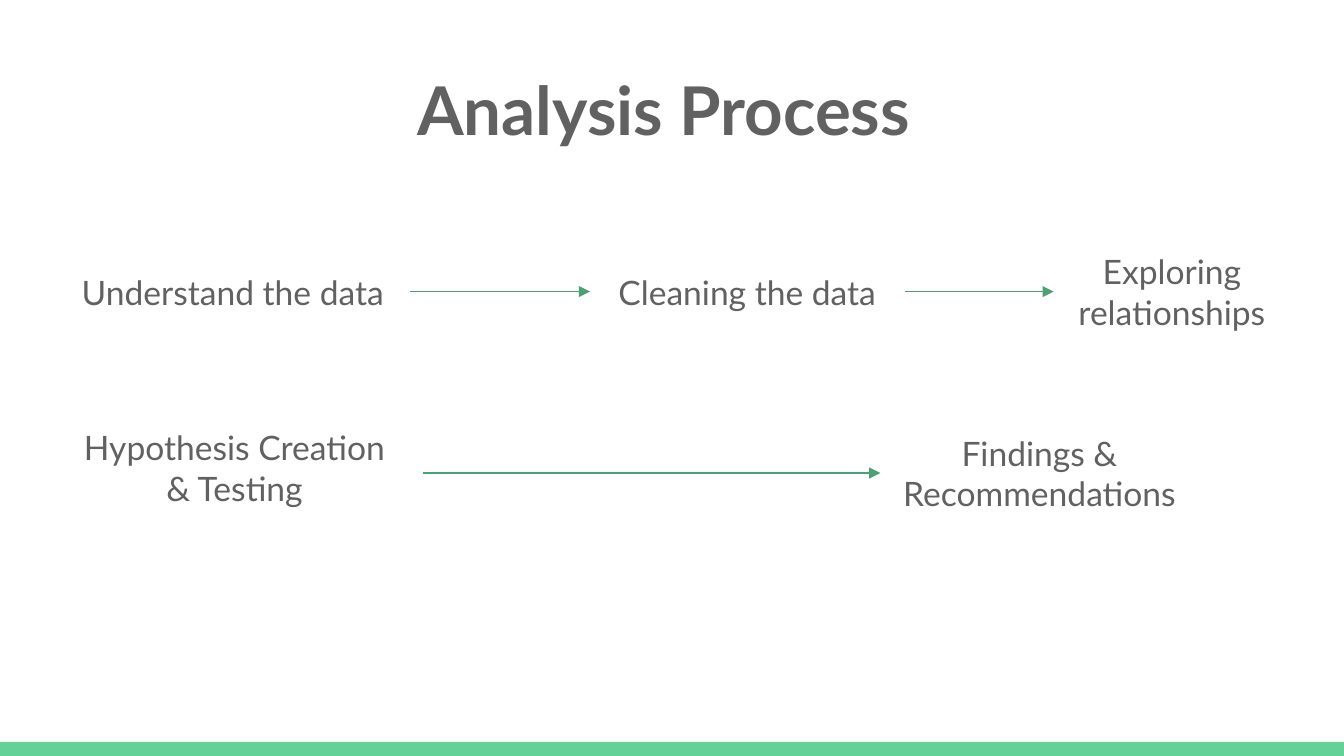
from dataclasses import dataclass

from lxml.etree import SubElement
from pptx import Presentation
from pptx.dml.color import RGBColor
from pptx.enum.shapes import MSO_CONNECTOR, MSO_SHAPE
from pptx.enum.text import MSO_ANCHOR, MSO_AUTO_SIZE, PP_ALIGN
from pptx.oxml.ns import qn
from pptx.slide import Slide
from pptx.text.text import TextFrame
from pptx.util import Inches, Pt

TEXT_GREY = RGBColor(0x61, 0x61, 0x61)
ARROW_GREEN = RGBColor(0x4B, 0xA1, 0x73)
BAR_GREEN = RGBColor(0x63, 0xD2, 0x97)

WIDTH = 10
HEIGHT = WIDTH * 9 / 16
BAR_TOP = 5.52
TOP_ROW_Y, BOTTOM_ROW_Y = 2.17, 3.52

FRAME_FORMAT = {
    "word_wrap": True,
    "auto_size": MSO_AUTO_SIZE.NONE,
    "vertical_anchor": MSO_ANCHOR.MIDDLE,
    "margin_left": Inches(0.1),
    "margin_right": Inches(0.1),
    "margin_top": Inches(0.1),
    "margin_bottom": Inches(0.1),
}


@dataclass(frozen=True)
class Step:
    text: str
    left: float
    top: float
    width: float
    height: float
    align: PP_ALIGN = PP_ALIGN.CENTER


@dataclass(frozen=True)
class Arrow:
    start: float
    end: float
    y: float


STEPS = [
    Step("Understand the data", 0.51, 1.79, 2.54, 0.76, PP_ALIGN.LEFT),
    Step("Cleaning the data", 4.39, 1.85, 2.34, 0.64),
    Step("Exploring relationships", 7.84, 1.74, 1.76, 0.86),
    Step("Hypothesis Creation & Testing", 0.51, 2.98, 2.47, 1),
    Step("Findings & Recommendations", 6.55, 3.07, 2.37, 0.9),
]
ARROWS = [
    Arrow(3.05, 4.39, TOP_ROW_Y),
    Arrow(6.73, 7.84, TOP_ROW_Y),
    Arrow(3.15, 6.55, BOTTOM_ROW_Y),
]


def write_text(tf: TextFrame, text: str, size: int, align: PP_ALIGN, bold: bool = False) -> None:
    for name, value in FRAME_FORMAT.items():
        setattr(tf, name, value)
    p = tf.paragraphs[0]
    p.alignment = align
    r = p.add_run()
    r.text = text
    for name, value in {"name": "Lato", "size": Pt(size), "bold": bold}.items():
        setattr(r.font, name, value)
    r.font.color.rgb = TEXT_GREY


def add_bar(s: Slide) -> None:
    bar = s.shapes.add_shape(MSO_SHAPE.RECTANGLE, 0, Inches(BAR_TOP),
                             Inches(WIDTH), Inches(HEIGHT - BAR_TOP))
    bar.shadow.inherit = False
    bar.fill.solid()
    bar.fill.fore_color.rgb = BAR_GREEN
    bar.line.fill.background()


def add_title(s: Slide, text: str) -> None:
    title = s.shapes.title
    box = {"left": 0.34, "top": 0.49, "width": 9.32, "height": 0.63}
    for name, value in box.items():
        setattr(title, name, Inches(value))
    write_text(title.text_frame, text, 36, PP_ALIGN.CENTER, bold=True)


def add_step(s: Slide, step: Step) -> None:
    sp = s.shapes.add_textbox(Inches(step.left), Inches(step.top),
                              Inches(step.width), Inches(step.height))
    write_text(sp.text_frame, step.text, 18, step.align)


def add_arrow(s: Slide, arrow: Arrow) -> None:
    y = Inches(arrow.y)
    line = s.shapes.add_connector(MSO_CONNECTOR.STRAIGHT,
                                  Inches(arrow.start), y, Inches(arrow.end), y)
    line.line.color.rgb = ARROW_GREEN
    line.line.width = Pt(0.75)
    sp_pr = line._element.spPr
    SubElement(sp_pr.find(qn("a:ln")), qn("a:tailEnd"), type="triangle")
    SubElement(sp_pr, qn("a:effectLst"))


def main() -> None:
    prs = Presentation()
    prs.slide_width, prs.slide_height = Inches(WIDTH), Inches(HEIGHT)
    s = prs.slides.add_slide(prs.slide_layouts[5])
    add_bar(s)
    add_title(s, "Analysis Process ")
    for step in STEPS:
        add_step(s, step)
    for arrow in ARROWS:
        add_arrow(s, arrow)
    prs.save("out.pptx")


if __name__ == "__main__":
    main()
